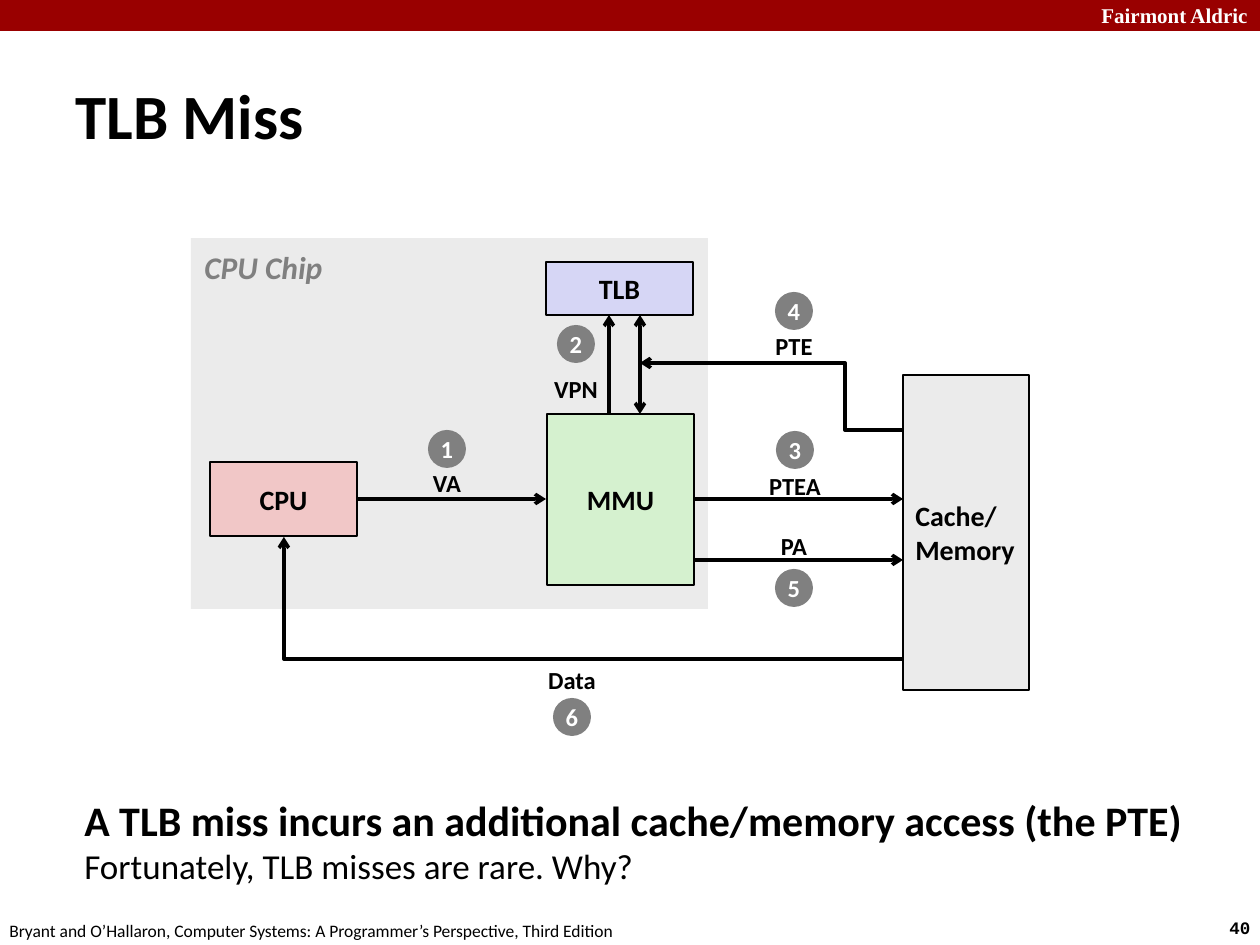
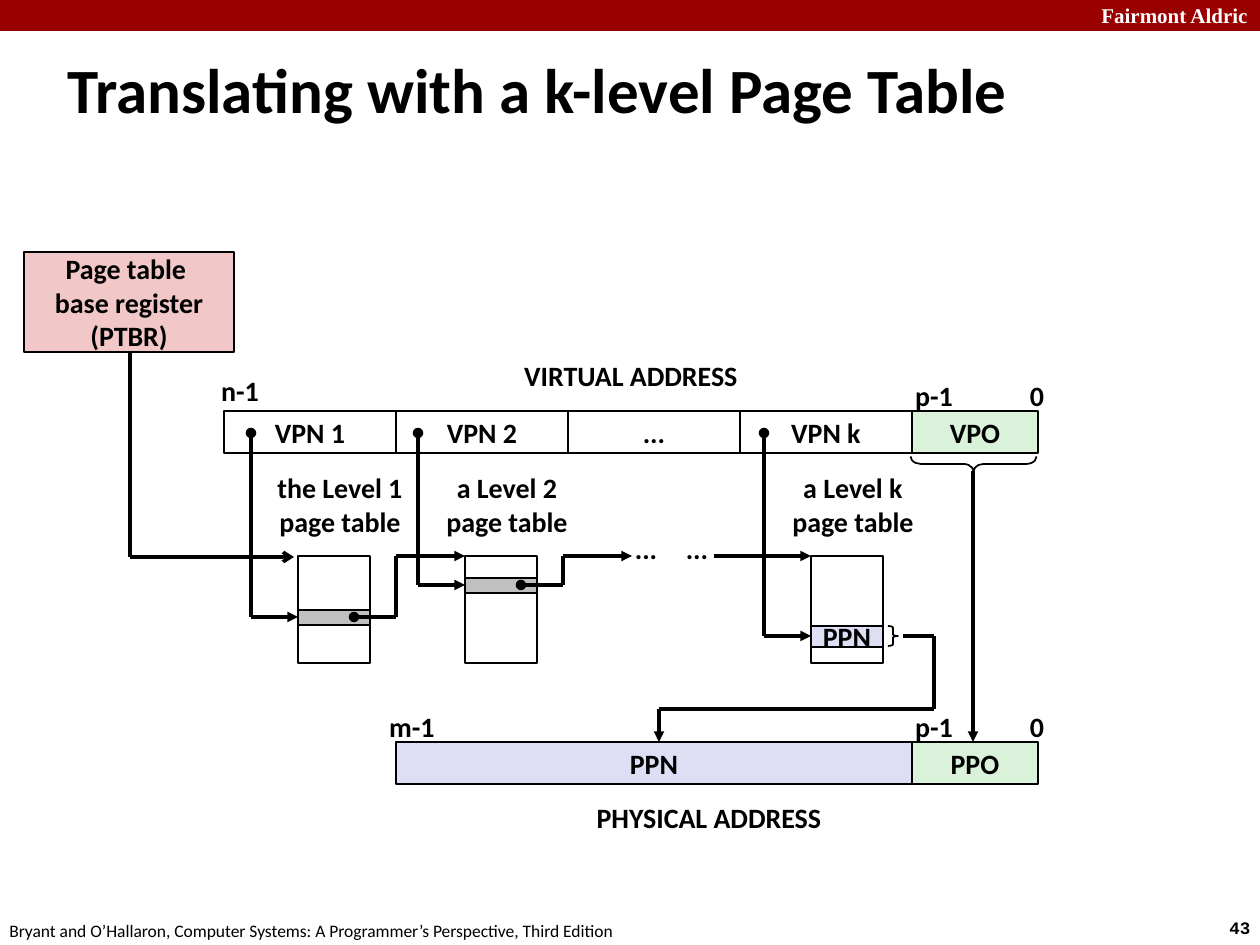
from lxml.etree import SubElement
from pptx import Presentation
from pptx.dml.color import RGBColor
from pptx.enum.shapes import MSO_CONNECTOR, MSO_SHAPE
from pptx.enum.text import MSO_ANCHOR, MSO_AUTO_SIZE, PP_ALIGN
from pptx.oxml.ns import qn
from pptx.util import Emu, Inches, Pt

BLACK = RGBColor(0x00, 0x00, 0x00)
WHITE = RGBColor(0xFF, 0xFF, 0xFF)
MAROON = RGBColor(0x99, 0x00, 0x00)
GRAY = RGBColor(0x80, 0x80, 0x80)
SILVER = RGBColor(0xC0, 0xC0, 0xC0)
PALE = RGBColor(0xEB, 0xEB, 0xEB)
PINK = RGBColor(0xF1, 0xC7, 0xC7)
GREEN = RGBColor(0xD5, 0xF1, 0xCF)
MINT = RGBColor(0xDB, 0xF2, 0xDA)
BLUE = RGBColor(0xD6, 0xD6, 0xF5)
LILAC = RGBColor(0xDE, 0xDF, 0xF5)

FONT = "Calibri"
LEFT, CENTER = PP_ALIGN.LEFT, PP_ALIGN.CENTER
FOOTER = ("Bryant and O’Hallaron, Computer Systems: "
          "A Programmer’s Perspective, Third Edition")


def px(*vals):
    return [Emu(round(v * 914400 / 126)) for v in vals]


# Basic parts
def write(frame, text, size=16, color=BLACK, bold=True, align=CENTER,
          anchor=MSO_ANCHOR.MIDDLE, wrap=False, font=FONT):
    frame.text = text
    frame.auto_size = MSO_AUTO_SIZE.NONE
    frame.word_wrap = wrap
    frame.vertical_anchor = anchor
    for para in frame.paragraphs:
        para.alignment = align
        for run in para.runs:
            run.font.name = font
            run.font.size = Pt(size)
            run.font.bold = bold
            run.font.color.rgb = color


def note(slide, box, text, **look):
    area = slide.shapes.add_textbox(*px(*box))
    look = {"align": LEFT, "anchor": MSO_ANCHOR.TOP, "wrap": True, **look}
    write(area.text_frame, text, **look)
    return area.text_frame


def label(slide, x, y, text, size=16):
    """Text centred on a point."""
    note(slide, (x - 50, y - 40, 100, 80), text, size=size, align=CENTER,
         anchor=MSO_ANCHOR.MIDDLE, wrap=False)


def node(slide, box, text="", fill=None, line=1, kind=MSO_SHAPE.RECTANGLE,
         **look):
    shape = slide.shapes.add_shape(kind, *px(*box))
    shape.shadow.inherit = False
    if fill is None:
        shape.fill.background()
    else:
        shape.fill.solid()
        shape.fill.fore_color.rgb = fill
    if line:
        shape.line.color.rgb = BLACK
        shape.line.width = Pt(line)
    else:
        shape.line.fill.background()
    if text:
        write(shape.text_frame, text, **look)
    return shape


def brace(slide, box, curve, turn=0):
    shape = node(slide, box, kind=MSO_SHAPE.RIGHT_BRACE)
    shape.adjustments[0] = curve
    shape.rotation = turn


def link(slide, start, end, head=None, tail=None, kind=MSO_CONNECTOR.STRAIGHT):
    line = slide.shapes.add_connector(kind, *px(*start, *end))
    line.line.color.rgb = BLACK
    line.line.width = Pt(2)
    props = line.element.spPr
    for tag, tip in (("a:headEnd", head), ("a:tailEnd", tail)):
        if tip:
            SubElement(props.find(qn("a:ln")), qn(tag), type=tip)
    SubElement(props, qn("a:effectLst"))
    return line


def elbow(slide, start, end, bend=None):
    """One bend, or two bends with the middle leg at the given share."""
    line = link(slide, start, end, tail="arrow", kind=MSO_CONNECTOR.ELBOW)
    geom = line.element.spPr.find(qn("a:prstGeom"))
    if bend is None:
        geom.set("prst", "bentConnector2")
    else:
        SubElement(geom.find(qn("a:avLst")), qn("a:gd"), name="adj1",
                   fmla=f"val {round(bend * 100000)}")


def route(slide, points, head=None, tail=None):
    last = len(points) - 2
    for i, (start, end) in enumerate(zip(points, points[1:])):
        link(slide, start, end, head if i == 0 else None,
             tail if i == last else None)


# Shared frame of every slide
def start(deck, title, box, number):
    slide = deck.slides.add_slide(deck.slide_layouts[5])
    node(slide, (0, 0, 1260, 31), fill=MAROON, line=0)
    note(slide, (1089, -4, 180, 38), "Fairmont Aldric", size=12, color=WHITE,
         font="Times New Roman")
    note(slide, (1217, 911, 57, 34), number, size=10, font="Courier New")
    note(slide, (-3, 914, 640, 34), FOOTER, size=10, bold=False)
    head = slide.shapes.title
    head.left, head.top, head.width, head.height = px(*box)
    write(head.text_frame, title, size=36, align=LEFT, wrap=True)
    return slide


# TLB miss: chip, memory and the numbered steps
def chip(slide, x, y):
    def at(dx, dy):
        return x + dx, y + dy

    node(slide, (x, y, 517, 371), fill=PALE, line=0)
    name = note(slide, (*at(1, 4), 146, 50), "CPU Chip", size=18, color=GRAY)
    name.paragraphs[0].runs[0].font.italic = True
    node(slide, (*at(356, 176), 147, 171), "MMU", GREEN)
    node(slide, (*at(355, 24), 147, 53), "TLB", BLUE)
    node(slide, (*at(19, 224), 147, 74), "CPU", PINK)
    node(slide, (*at(712, 137), 126, 315), "Cache/\nMemory", PALE, 1.5,
         align=LEFT)

    for first, end in (((166, 261), (355, 261)), ((502, 261), (712, 261)),
                       ((502, 322), (712, 322)), ((418, 176), (418, 77))):
        link(slide, at(*first), at(*end), tail="arrow")
    link(slide, at(449, 77), at(449, 176), head="arrow", tail="arrow")
    elbow(slide, at(712, 192), at(449, 125), 0.22)
    elbow(slide, at(712, 421), at(93, 299))

    # Each step: name, centre, height of its number, height of its name
    steps = [("VA", 256, 211, 245), ("VPN", 385, 106, 151),
             ("PTEA", 604, 212, 248), ("PTE", 603, 73, 108),
             ("PA", 603, 350, 308), ("Data", 381, 479, 442)]
    for i, (text, dx, disc, name) in enumerate(steps, 1):
        label(slide, *at(dx, name), text, 14)
        node(slide, (*at(dx - 19, disc - 19), 38, 38), str(i), GRAY, 0,
             MSO_SHAPE.OVAL, size=14, color=WHITE)


def remark(slide, box):
    frame = note(slide, box, "A TLB miss incurs an additional cache/memory "
                 "access (the PTE)\vFortunately, TLB misses are rare. Why?",
                 size=24)
    small = frame.paragraphs[0].runs[1].font
    small.size = Pt(20)
    small.bold = False


# Page table walk
def address(slide, x, y, fields, high, lift):
    """Row of fields under its bit numbers; the last field is the offset."""
    label(slide, x + 16, y - lift, high)
    for text, wide, fill in fields:
        node(slide, (x, y, wide, 42), text, fill)
        edge, x = x, x + wide
    label(slide, edge + 22, y - 16, "p-1")
    label(slide, edge + 125, y - 16, "0")


def level(slide, x, y, name, slot, high, fill, text=""):
    """Page table whose entry is picked by the address field above it."""
    label(slide, x + 42, y - 52, f"{name}\npage table")
    node(slide, (x, y, 72, 107))
    mid = y + slot + high // 2
    node(slide, (x, y + slot, 72, high), text, fill)
    route(slide, [(x - 47, y - 123), (x - 47, mid), (x, mid)],
          "oval", "triangle")
    return mid


def onward(slide, x, y, mid):
    route(slide, [(x + 56, mid), (x + 98, mid), (x + 98, y), (x + 167, y)],
          "oval", "triangle")


def base(slide, x, y):
    node(slide, (x, y, 210, 100), "Page table \vbase register\n(PTBR)", PINK,
         wrap=True)
    route(slide, [(x + 106, y + 100), (x + 106, y + 305), (x + 270, y + 305)],
          tail="arrow")


def walk(slide, x, y):
    """Tables of all levels, the first at x, y."""
    for dx, name, slot in ((0, "the Level 1", 54), (167, "a Level 2", 22)):
        mid = level(slide, x + dx, y, name, slot, 15, SILVER)
        onward(slide, x + dx, y, mid)
    for dx in (348, 399):
        label(slide, x + dx, y - 8, "...")
    link(slide, (x + 416, y), (x + 513, y), tail="triangle")
    mid = level(slide, x + 513, y, "a Level k", 70, 21, LILAC, "PPN")
    brace(slide, (x + 590, y + 70, 10, 20), 0.16)
    route(slide, [(x + 605, mid), (x + 636, mid), (x + 636, y + 153),
                  (x + 361, y + 153), (x + 361, y + 186)], tail="triangle")


deck = Presentation()
deck.slide_width, deck.slide_height = Inches(10), Inches(7.5)

# Slide 1
miss = start(deck, "TLB Miss", (63, 60, 1197, 108), "40")
chip(miss, 191, 238)
remark(miss, (72, 788, 1136, 126))

# Slide 2
table = start(deck, "Translating with a k-level Page Table",
              (55, 34, 1142, 108), "43")
base(table, 24, 252)
label(table, 631, 375, "VIRTUAL ADDRESS")
names = ("VPN 1", "VPN 2", "...", "VPN k")
address(table, 224, 411, [(text, 172, None) for text in names]
        + [("VPO", 126, MINT)], "n-1", 21)
walk(table, 298, 556)
address(table, 396, 742, [("PPN", 516, LILAC), ("PPO", 126, MINT)], "m-1", 16)
label(table, 709, 817, "PHYSICAL ADDRESS")
brace(table, (966, 401, 15, 126), 0.68, 90)
link(table, (973, 471), (973, 742), tail="triangle")

deck.save("out.pptx")
